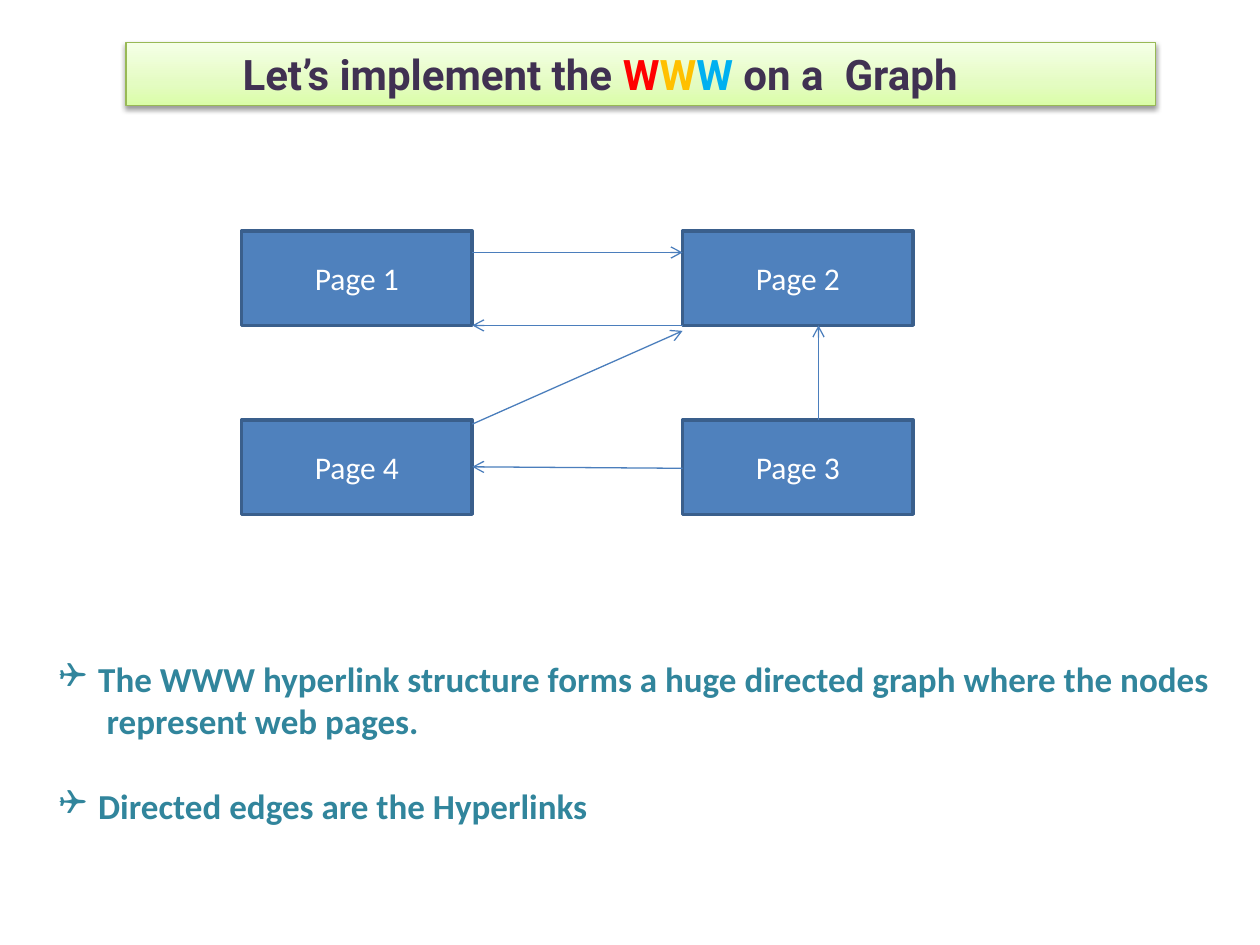
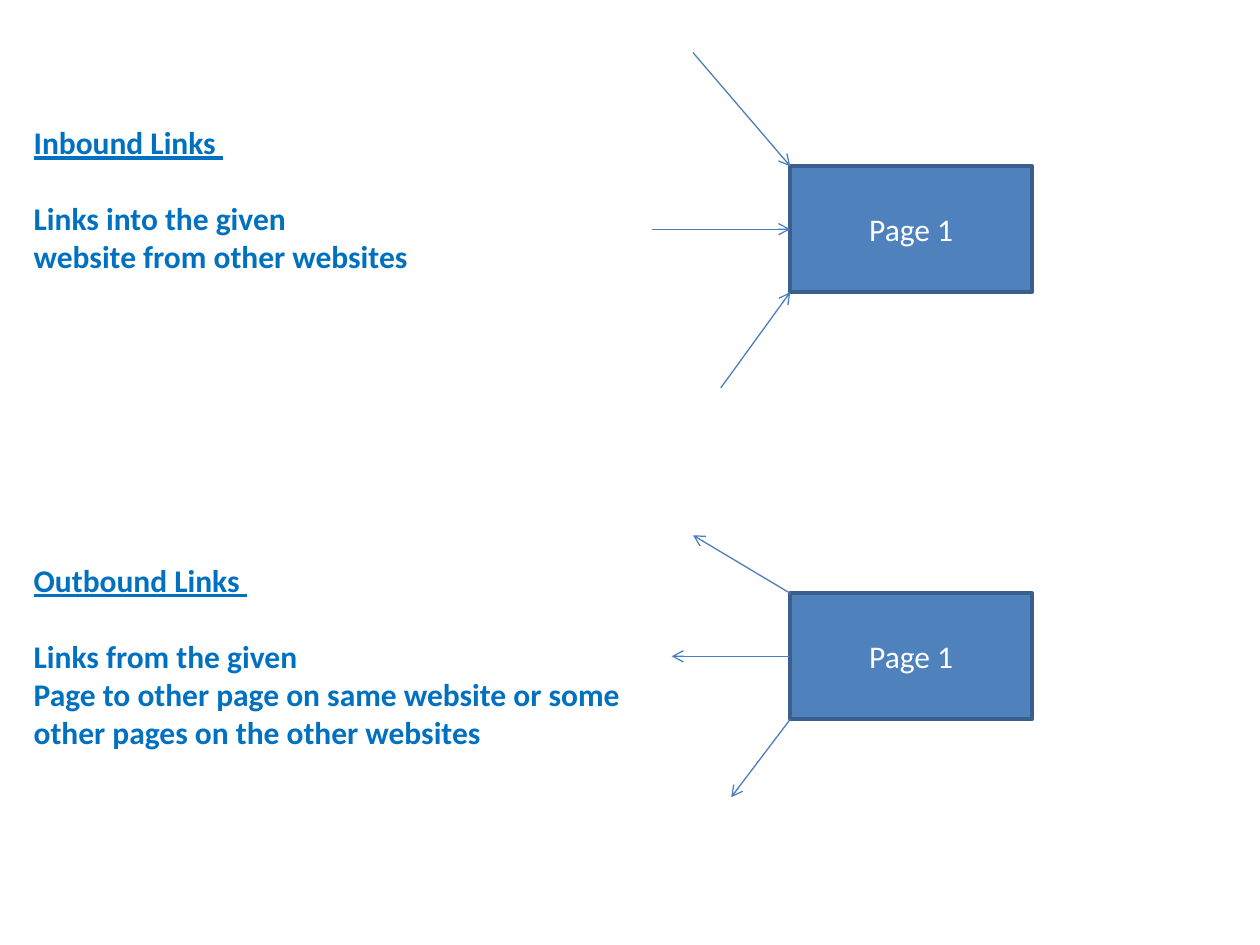
from dataclasses import dataclass

from lxml import etree
from pptx import Presentation
from pptx.dml.color import RGBColor
from pptx.enum.shapes import MSO_CONNECTOR, MSO_SHAPE
from pptx.enum.text import MSO_ANCHOR, MSO_AUTO_SIZE, PP_ALIGN
from pptx.oxml.ns import qn
from pptx.util import Cm, Pt

RECT = MSO_SHAPE.RECTANGLE
STRAIGHT = MSO_CONNECTOR.STRAIGHT
LEFT, CENTER = PP_ALIGN.LEFT, PP_ALIGN.CENTER
TOP, MIDDLE = MSO_ANCHOR.TOP, MSO_ANCHOR.MIDDLE
NO_FIT = MSO_AUTO_SIZE.NONE
TITLE_ONLY, BLANK = 5, 6


@dataclass(frozen=True)
class Theme:
    """Colours, fonts and sizes shared by the slides."""
    title_font: str = "Roboto"
    body_font: str = "Calibri"
    title_size: int = 24
    note_size: int = 20
    text_size: int = 18
    title: str = "403152"
    band_line: str = "98B955"
    band_stops: tuple = ((0, "DAFDA7"), (35, "E4FCC2"), (100, "F5FFE7"))
    www: tuple = ("FF0000", "FFC000", "00B0F0")
    note: str = "31859C"
    link_text: str = "0070C0"
    page_fill: str = "4F81BD"
    page_line: str = "3A5F8C"
    page_text: str = "FFFFFF"
    arrow: str = "4B7EBC"


T = Theme()


def rgb(value):
    """Turn a hex string into a colour."""
    return RGBColor.from_string(value)


def sub(parent, tag, **attrs):
    """Append a DrawingML child element."""
    return etree.SubElement(parent, qn(tag), {k: str(v) for k, v in attrs.items()})


def style_font(font, name, size, color, bold=False):
    """Set the main properties of a font."""
    font.name, font.size, font.bold = name, Pt(size), bold
    font.color.rgb = rgb(color)


def style_line(line, color, width):
    """Set the colour and width of a line."""
    line.color.rgb = rgb(color)
    line.width = Pt(width)


def add_title_band(slide, x, y, w, h, runs):
    """Format the title placeholder as a gradient band with coloured runs."""
    s = slide.shapes.title
    s.left, s.top, s.width, s.height = Cm(x), Cm(y), Cm(w), Cm(h)
    s.fill.gradient()
    s.fill.gradient_angle = 90
    sp_pr = s.element.spPr
    stops = sp_pr.find(".//" + qn("a:gsLst"))
    stops.clear()
    for pos, color in T.band_stops:
        sub(sub(stops, "a:gs", pos=pos * 1000), "a:srgbClr", val=color)
    style_line(s.line, T.band_line, 0.75)
    shadow = sub(sub(sp_pr, "a:effectLst"), "a:outerShdw", blurRad=Pt(3.1),
                 dist=Pt(1.6), dir=90 * 60000, rotWithShape=0)
    sub(sub(shadow, "a:srgbClr", val="000000"), "a:alpha", val=38000)
    tf = s.text_frame
    tf.auto_size, tf.vertical_anchor = NO_FIT, TOP
    tf.margin_left = Cm(2.35)
    p = tf.paragraphs[0]
    p.alignment = LEFT
    for text, color in runs:
        r = p.add_run()
        r.text = text
        style_font(r.font, T.title_font, T.title_size, color, True)


def add_page(slide, x, y, w, h, name):
    """Draw a box for one web page."""
    s = slide.shapes.add_shape(RECT, Cm(x), Cm(y), Cm(w), Cm(h))
    s.shadow.inherit = False
    s.fill.solid()
    s.fill.fore_color.rgb = rgb(T.page_fill)
    style_line(s.line, T.page_line, 2)
    tf = s.text_frame
    tf.vertical_anchor = MIDDLE
    p = tf.paragraphs[0]
    p.text, p.alignment = name, CENTER
    style_font(p.font, T.body_font, T.text_size, T.page_text)


def add_link(slide, x, y, start, end):
    """Draw an arrow between two points given relative to x, y."""
    c = slide.shapes.add_connector(STRAIGHT, Cm(x + start[0]), Cm(y + start[1]),
                                   Cm(x + end[0]), Cm(y + end[1]))
    style_line(c.line, T.arrow, 0.75)
    sub(c.line._get_or_add_ln(), "a:tailEnd", type="arrow")
    sub(c._element.spPr, "a:effectLst")


def add_text(slide, x, y, w, h, lines, size, color):
    """Add a bold text box and return its paragraphs."""
    tf = slide.shapes.add_textbox(Cm(x), Cm(y), Cm(w), Cm(h)).text_frame
    tf.word_wrap = True
    for i, line in enumerate(lines):
        p = tf.add_paragraph() if i else tf.paragraphs[0]
        p.text = line
        style_font(p.font, T.body_font, size, color, True)
    return tf.paragraphs


def set_indent(p, left, bullet=None):
    """Indent a paragraph, hanging it from a bullet when one is given."""
    p_pr = p._p.get_or_add_pPr()
    p_pr.set("marL", str(Cm(left)))
    if bullet:
        p_pr.set("indent", str(-Cm(left)))
        sub(p_pr, "a:buFont", typeface="Wingdings")
        sub(p_pr, "a:buChar", char=bullet)


def add_graph(slide, x, y):
    """Draw four pages on a two by two grid and the links between them."""
    w, h, dx, dy = 4.65, 1.9, 8.89, 3.81
    for i, row in enumerate((("Page 1", "Page 2"), ("Page 4", "Page 3"))):
        for j, name in enumerate(row):
            add_page(slide, x + j * dx, y + i * dy, w, h, name)
    links = (((w, 0.43), (dx, 0.43)),
             ((dx, h), (w, h)),
             ((w, 3.89), (dx, 2.01)),
             ((11.63, dy), (11.63, h)),
             ((dx, 4.78), (w, 4.75)))
    for start, end in links:
        add_link(slide, x, y, start, end)


def add_notes_list(slide, x, y, w, h):
    """Add the bulleted remarks below the graph."""
    first, rest, second = add_text(slide, x, y, w, h, (
        "The WWW hyperlink structure forms a huge directed graph where the nodes",
        "represent web pages.",
        "Directed edges are the Hyperlinks"), T.note_size, T.note)
    for p in (first, second):
        set_indent(p, 0.79, "❑")
    set_indent(rest, 0.96)
    second.space_before = Pt(T.note_size * 1.22)


def add_definition(slide, x, y, w, h, lines):
    """Add an underlined heading with its explanation."""
    heading, body, *_ = add_text(slide, x, y, w, h, lines, T.text_size, T.link_text)
    heading.font.underline = True
    body.space_before = Pt(T.text_size * 1.22)


def add_link_fan(slide, x, y, far_ends, inbound):
    """Draw a page with three links at its left side."""
    w, h = 4.88, 2.54
    add_page(slide, x, y, w, h, "Page 1")
    for i, far in enumerate(far_ends):
        near = (0, i * h / 2)
        start, end = (far, near) if inbound else (near, far)
        add_link(slide, x, y, start, end)


def build_graph_slide(prs):
    """Build the slide that shows the web as a graph."""
    slide = prs.slides.add_slide(prs.slide_layouts[TITLE_ONLY])
    runs = [("Let’s implement the ", T.title)]
    runs += [("W", color) for color in T.www]
    runs.append((" on a  Graph", T.title))
    add_title_band(slide, 2.54, 0.85, 20.75, 1.28, runs)
    add_notes_list(slide, 0.94, 13.13, 23.9, 3.68)
    add_graph(slide, 4.87, 4.66)


def build_links_slide(prs):
    """Build the slide that defines inbound and outbound links."""
    slide = prs.slides.add_slide(prs.slide_layouts[BLANK])
    add_definition(slide, 0.43, 2.36, 8.1, 3.33, (
        "Inbound Links ", "Links into the given", "website from other websites"))
    add_definition(slide, 0.43, 11.18, 12.7, 4.11, (
        "Outbound Links ", "Links from the given",
        "Page to other page on same website or some other pages on the other websites"))
    add_link_fan(slide, 15.93, 3.35, ((-1.96, -2.29), (-2.79, 1.27), (-1.4, 4.47)), True)
    add_link_fan(slide, 15.93, 11.96, ((-1.96, -1.17), (-2.39, 1.27), (-1.19, 4.11)), False)


def main():
    """Build and save the presentation."""
    prs = Presentation()
    prs.slide_width, prs.slide_height = Cm(25.4), Cm(19.05)
    build_graph_slide(prs)
    build_links_slide(prs)
    prs.save("out.pptx")


if __name__ == "__main__":
    main()
